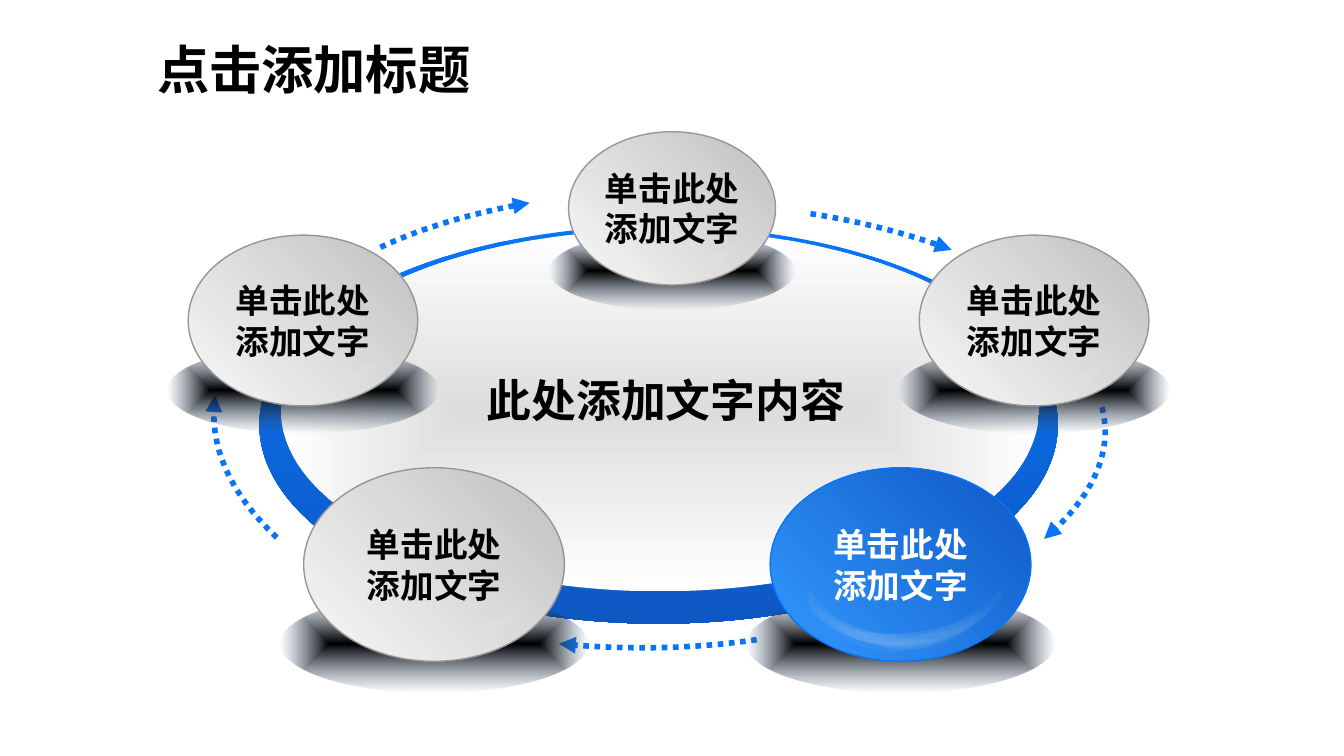
import pptx
import pptx.dml.color
import pptx.enum.dml
import pptx.enum.shapes
import pptx.enum.text
import pptx.oxml.ns
import pptx.util
from lxml import etree

Pt = pptx.util.Pt
qn = pptx.oxml.ns.qn
SHAPE = pptx.enum.shapes.MSO_SHAPE
ALIGN = pptx.enum.text.PP_ALIGN
ANCHOR = pptx.enum.text.MSO_ANCHOR

COLORS = {
    "black": "000000", "white": "FFFFFF", "blue": "0875F8",
    "light_blue": "3399FF", "dark_blue": "0E58C4", "pale": "F8F8F8",
    "silver": "C0C0C0", "outline": "969696", "mist": "DDDDDD",
    "shade": "445E7A",
}
BALL_TEXT = "单击此处\n添加文字"
# left, top, width, height within the cycle, and whether highlighted
BALLS = [
    (402.5, 56, 123, 91.5, False),
    (10.8, 56, 123, 91.5, False),
    (72.7, 180.6, 139.7, 103.7, False),
    (322.6, 180.6, 139.7, 103.7, True),
    (214.6, 0.6, 110.9, 82.1, False),
]
# start, two control points and end of each curve within the cycle
ARROWS = [
    [(113.8, 62.5), (136.8, 51.7), (164.2, 43.8), (193.7, 38.7)],
    [(58.3, 218), (33.1, 194.2), (21.6, 169), (25.2, 141.7)],
    [(315.4, 272.7), (281, 277.8), (245, 278.2), (209.5, 274.9)],
    [(500.4, 148.2), (507, 173), (494, 198), (469.4, 218.7)],
    [(344.2, 44.5), (371.5, 48.8), (396.7, 55.3), (419.8, 63.9)],
]
# centre x and y, width and height as shares of the ball, and rotation
GLINTS = [
    (0.67, 0.82, 0.09, 0.52, 66.1),
    (0.59, 0.84, 0.09, 0.52, 79.7),
    (0.54, 0.85, 0.09, 0.52, 84.6),
    (0.48, 0.86, 0.09, 0.52, 93.5),
    (0.52, 0.86, 0.09, 0.52, 88.7),
    (0.43, 0.86, 0.09, 0.52, 102.2),
    (0.38, 0.84, 0.09, 0.52, 107.2),
    (0.33, 0.83, 0.11, 0.45, 116),
]


def rgb(name):
    return pptx.dml.color.RGBColor.from_string(COLORS[name])


def set_alpha(color_parent, percent):
    color = next(color_parent.iter(qn("a:srgbClr")))
    etree.SubElement(color, qn("a:alpha")).set("val", str(percent * 1000))


def fill_gradient(shape, first, last, angle=None, last_alpha=None):
    """Fill along a counterclockwise angle, or outward from the centre if none is given."""
    shape.fill.gradient()
    for stop, name in zip(shape.fill.gradient_stops, (first, last)):
        stop.color.rgb = rgb(name)
    gradient = shape._element.spPr.find(qn("a:gradFill"))
    if last_alpha is not None:
        set_alpha(gradient.findall(".//" + qn("a:gs"))[-1], last_alpha)
    if angle is not None:
        shape.fill.gradient_angle = angle
        return
    linear = gradient.find(qn("a:lin"))
    radial = etree.Element(qn("a:path"), path="shape")
    etree.SubElement(radial, qn("a:fillToRect"), l="50000", t="50000", r="50000", b="50000")
    gradient.replace(linear, radial)


def add_plain_shape(slide, kind, left, top, width, height):
    shape = slide.shapes.add_shape(kind, Pt(left), Pt(top), Pt(width), Pt(height))
    shape.shadow.inherit = False
    shape.line.fill.background()
    return shape


def write_text(shape, text, size, color, font="Arial", align=ALIGN.CENTER,
               anchor=ANCHOR.MIDDLE, margin=0, spacing=None):
    frame = shape.text_frame
    frame.text = text
    frame.word_wrap = False
    frame.vertical_anchor = anchor
    frame.margin_left = frame.margin_right = Pt(margin)
    frame.margin_top = frame.margin_bottom = Pt(margin)
    for paragraph in frame.paragraphs:
        paragraph.alignment = align
        paragraph.line_spacing = spacing
        paragraph.font.name = font
        paragraph.font.size = Pt(size)
        paragraph.font.bold = True
        paragraph.font.color.rgb = rgb(color)


def draw_title(slide, left, top, width, height):
    title = slide.shapes.title
    title.left, title.top = Pt(left), Pt(top)
    title.width, title.height = Pt(width), Pt(height)
    write_text(title, "点击添加标题", 28, "black", "Noto Sans CJK SC",
               ALIGN.LEFT, ANCHOR.TOP, 7.2, 0.9)
    title.text_frame.auto_size = pptx.enum.text.MSO_AUTO_SIZE.NONE


def draw_arrow(slide, left, top, curve, steps=16):
    """Trace a cubic curve as a dotted line with an arrowhead at its end."""
    points = []
    for step in range(steps + 1):
        t = step / steps
        weights = ((1 - t) ** 3, 3 * t * (1 - t) ** 2, 3 * t * t * (1 - t), t ** 3)
        x = left + sum(weight * point[0] for weight, point in zip(weights, curve))
        y = top + sum(weight * point[1] for weight, point in zip(weights, curve))
        points.append((Pt(x), Pt(y)))
    builder = slide.shapes.build_freeform(*points[0])
    builder.add_line_segments(points[1:], close=False)
    arrow = builder.convert_to_shape()
    arrow.shadow.inherit = False
    arrow.fill.background()
    arrow.line.color.rgb = rgb("blue")
    arrow.line.width = Pt(3)
    arrow.line.dash_style = pptx.enum.dml.MSO_LINE.ROUND_DOT
    line = arrow._element.spPr.find(qn("a:ln"))
    etree.SubElement(line, qn("a:tailEnd"), type="triangle")


def draw_ball(slide, left, top, width, height, highlighted):
    shadow = add_plain_shape(slide, SHAPE.OVAL, left - 0.09 * width, top + 0.655 * height,
                             1.18 * width, 0.505 * height)
    fill_gradient(shadow, "black", "shade", last_alpha=0)

    ball = add_plain_shape(slide, SHAPE.OVAL, left, top, width, height)
    first, last, outline, text_color = (
        ("light_blue", "dark_blue", "blue", "white") if highlighted
        else ("pale", "silver", "outline", "black"))
    fill_gradient(ball, first, last, angle=45)
    ball.line.color.rgb = rgb(outline)
    ball.line.width = Pt(0.75)
    write_text(ball, BALL_TEXT, 18, text_color)

    for x, y, glint_width, glint_height, rotation in GLINTS:
        glint = add_plain_shape(slide, SHAPE.MOON,
                                left + (x - glint_width / 2) * width,
                                top + y * height - glint_height * width / 2,
                                glint_width * width, glint_height * width)
        glint.adjustments[0] = 0.5
        glint.rotation = rotation + 180
        glint.fill.solid()
        glint.fill.fore_color.rgb = rgb("pale")
        set_alpha(glint._element.spPr, 4)


def draw_cycle(slide, left, top):
    for curve in ARROWS:
        draw_arrow(slide, left, top, curve)
    ring = add_plain_shape(slide, SHAPE.OVAL, left + 49, top + 51, 427.7, 213.1)
    fill_gradient(ring, "blue", "dark_blue", angle=270)
    disc = add_plain_shape(slide, SHAPE.OVAL, left + 60.5, top + 53.1, 406.1, 193.7)
    fill_gradient(disc, "mist", "white")
    caption = slide.shapes.add_textbox(Pt(left + 169.9), Pt(top + 123.7), Pt(193.7), Pt(34.6))
    write_text(caption, "此处添加文字内容", 24, "black", spacing=1.2)
    for x, y, width, height, highlighted in BALLS:
        draw_ball(slide, left + x, top + y, width, height, highlighted)


def main():
    presentation = pptx.Presentation()
    presentation.slide_width, presentation.slide_height = Pt(720), Pt(405)
    slide = presentation.slides.add_slide(presentation.slide_layouts[5])
    draw_cycle(slide, 90, 70)
    draw_title(slide, 77, 16.6, 192.2, 45.4)
    presentation.save("out.pptx")


if __name__ == "__main__":
    main()
